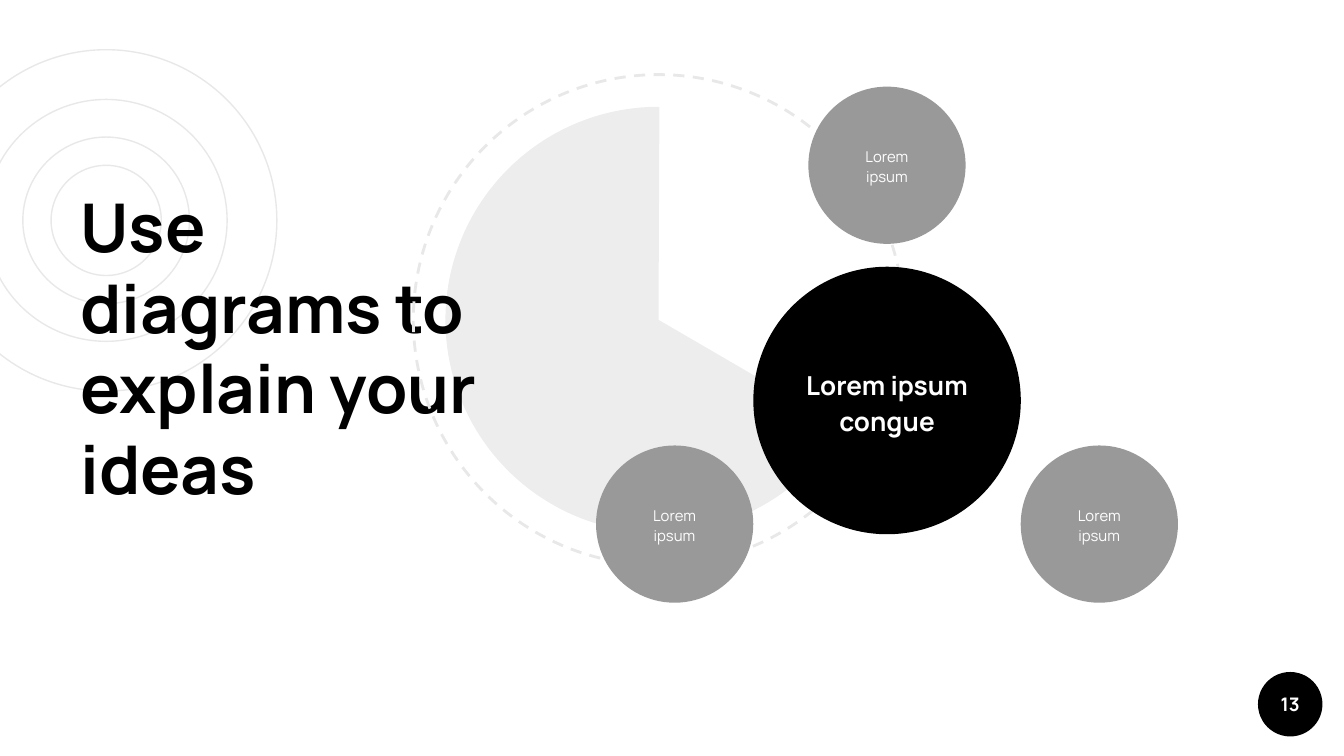
import pptx
import pptx.util
import pptx.dml.color
import pptx.enum.dml
import pptx.enum.shapes
import pptx.enum.text
import lxml.etree

FONT = "Manrope"
BLACK, WHITE, GREY, PALE = "000000", "FFFFFF", "999999", "E8E8E8"
WIDTH, HEIGHT = 10, 5.625

TITLE = "Use diagrams to explain your ideas"
PAGE_NUMBER = "13"
HUB = "Lorem ipsum congue"
SATELLITES = [("Lorem ipsum", 0, -1.75), ("Lorem ipsum", -1.58, 0.92), ("Lorem ipsum", 1.58, 0.92)]

RING_CENTRE, RING_DIAMETERS = (0.79, 1.64), (2.54, 1.8, 1.24, 0.82)
ORBIT_CENTRE, ORBIT_DIAMETER, PIE_DIAMETER = (4.9, 2.38), 3.65, 3.17
HUB_CENTRE, HUB_DIAMETER, SATELLITE_DIAMETER = (6.6, 2.98), 1.99, 1.17
BADGE_CENTRE, BADGE_DIAMETER = (9.6, 5.24), 0.48

inches = pptx.util.Inches
kinds = pptx.enum.shapes.MSO_SHAPE
align = pptx.enum.text.PP_ALIGN


def colour(value):
    return pptx.dml.color.RGBColor.from_string(value)


def add_round(centre, diameter, fill=None, line=None, weight=0.75, kind=kinds.OVAL):
    left, top = (middle - diameter / 2 for middle in centre)
    shape = slide.shapes.add_shape(kind, inches(left), inches(top), inches(diameter), inches(diameter))
    shape.shadow.inherit = False
    if fill:
        shape.fill.solid()
        shape.fill.fore_color.rgb = colour(fill)
    else:
        shape.fill.background()
    if line:
        shape.line.color.rgb = colour(line)
        shape.line.width = pptx.util.Pt(weight)
    else:
        shape.line.fill.background()
    return shape


def write(shape, text, size, ink=WHITE, bold=False, margin=0.1, spacing=1.0,
          alignment=align.CENTER, anchor=pptx.enum.text.MSO_ANCHOR.MIDDLE):
    frame = shape.text_frame
    frame.text = text
    frame.word_wrap = True
    frame.vertical_anchor = anchor
    frame.margin_left = frame.margin_right = inches(margin)
    frame.margin_top = frame.margin_bottom = inches(margin)
    para = frame.paragraphs[0]
    para.alignment = alignment
    para.line_spacing = spacing
    font = para.runs[0].font
    font.name, font.size, font.bold = FONT, pptx.util.Pt(size), bold
    font.color.rgb = colour(ink)


deck = pptx.Presentation()
deck.slide_width, deck.slide_height = inches(WIDTH), inches(HEIGHT)
slide = deck.slides.add_slide(deck.slide_layouts[6])

for diameter in RING_DIAMETERS:
    add_round(RING_CENTRE, diameter, line=PALE)

badge = add_round(BADGE_CENTRE, BADGE_DIAMETER, BLACK)
write(badge, PAGE_NUMBER, 10, bold=True, margin=0)

title = slide.shapes.add_textbox(inches(0.5), inches(1.28), inches(3.28), inches(3.22))
write(title, TITLE, 36, BLACK, bold=True, alignment=align.LEFT, anchor=pptx.enum.text.MSO_ANCHOR.TOP)

orbit = add_round(ORBIT_CENTRE, ORBIT_DIAMETER, line=PALE, weight=1.5)
orbit.line.dash_style = pptx.enum.dml.MSO_LINE.DASH
orbit.rotation = 270

pie = add_round(ORBIT_CENTRE, PIE_DIAMETER, BLACK, kind=kinds.PIE)
pie.adjustments[0], pie.adjustments[1] = 18.12, 162.15
fill_colour = pie.fill._xPr.find(".//" + pptx.oxml.ns.qn("a:srgbClr"))
lxml.etree.SubElement(fill_colour, pptx.oxml.ns.qn("a:alpha"), val="7000")

hub = add_round(HUB_CENTRE, HUB_DIAMETER, BLACK)
write(hub, HUB, 14, bold=True, margin=0.05, spacing=1.15)

for label, across, down in SATELLITES:
    centre = (HUB_CENTRE[0] + across, HUB_CENTRE[1] + down)
    write(add_round(centre, SATELLITE_DIAMETER, GREY), label, 8, spacing=1.15)

deck.save("out.pptx")
